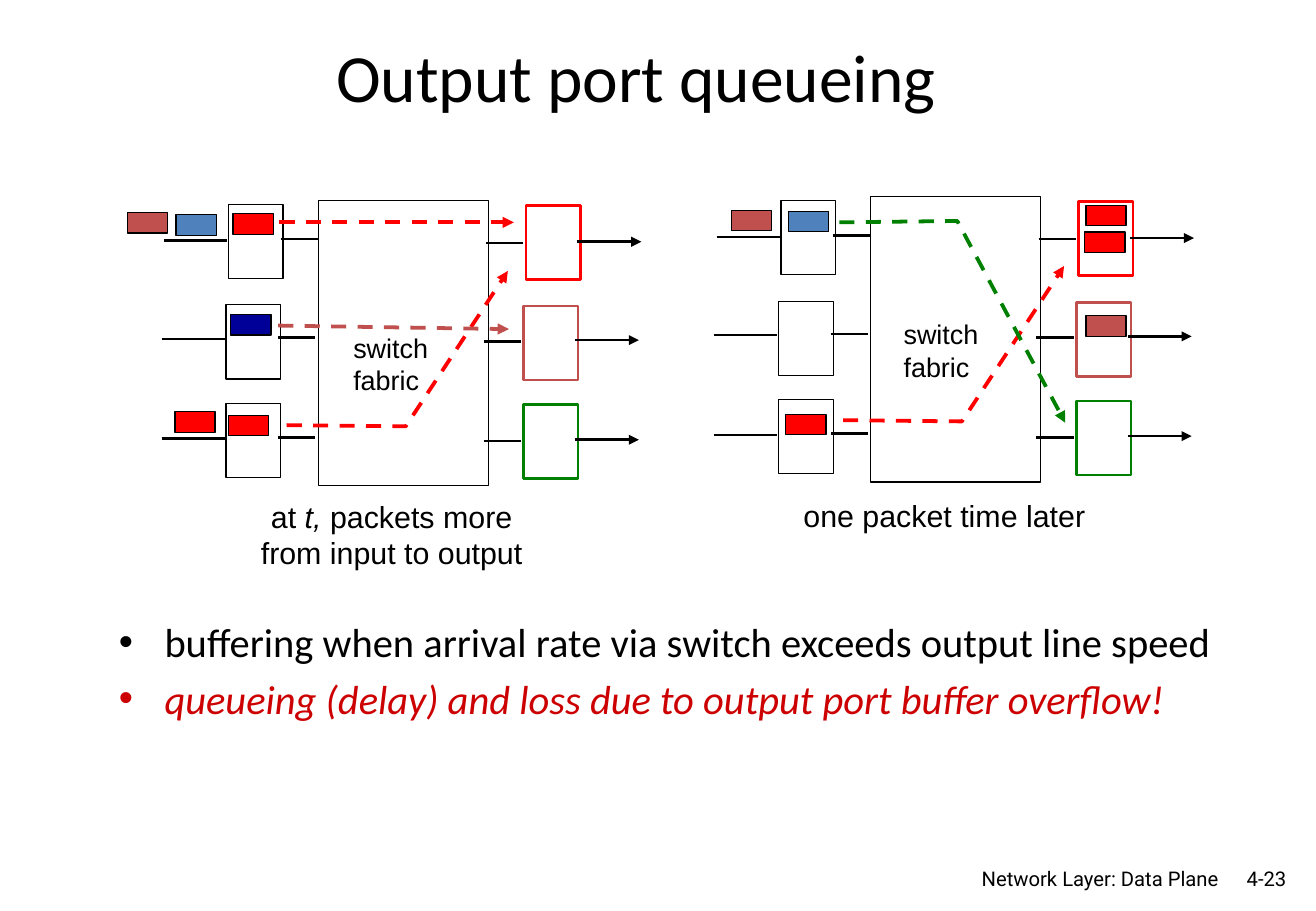
"""Build the slide on queueing at the output ports of a switch."""
from lxml.etree import SubElement
from pptx import Presentation
from pptx.dml.color import RGBColor
from pptx.enum.dml import MSO_LINE
from pptx.enum.shapes import MSO_CONNECTOR, MSO_SHAPE
from pptx.enum.text import MSO_ANCHOR, PP_ALIGN
from pptx.oxml.ns import qn
from pptx.util import Pt

BLACK = RGBColor(0x00, 0x00, 0x00)
WHITE = RGBColor(0xFF, 0xFF, 0xFF)
RED = RGBColor(0xFF, 0x00, 0x00)
RUST = RGBColor(0xC0, 0x50, 0x4D)
GREEN = RGBColor(0x00, 0x80, 0x00)
BLUE = RGBColor(0x4F, 0x81, 0xBD)
NAVY = RGBColor(0x00, 0x00, 0x99)
CRIMSON = RGBColor(0xCC, 0x00, 0x00)

LEFT, CENTER, RIGHT = PP_ALIGN.LEFT, PP_ALIGN.CENTER, PP_ALIGN.RIGHT
TOP, MIDDLE = MSO_ANCHOR.TOP, MSO_ANCHOR.MIDDLE

# fmt: off
SWITCHES = [(188.6, 118.8), (516.2, 116.6)]
FABRIC = (100.8, 169.2)
PORT = (32.4, 43.9)
PACKET = (23.8, 12.2)
ROWS = [(0, 0, 0, RED), (-1.4, 59.7, 58.3, RUST), (-1.4, 118.1, 117.4, GREEN)]
WIRES = [
    (99.4, 121.7, 25.2, False),
    (-22.3, -0.4, 23, False),
    (-91.4, -54, 23.8, False),
    (153.6, 191.5, 24.5, True),
]
PACKETS = [
    (138.2, 126.7, RED), (136.8, 186.5, NAVY), (135.4, 246.2, RED),
    (104.4, 127.4, BLUE), (103.7, 244.1, RED), (75.6, 126, RUST),
    (643.7, 121.7, RED), (643.7, 187.2, RUST), (643, 137.5, RED),
    (467.3, 125.3, BLUE), (465.8, 245.5, RED), (433.4, 124.6, RUST),
]
TRAILS = [
    (RED, [(165.6, 131.8), (304.6, 131.8)]),
    (RED, [(169.9, 252), (240.5, 252.7), (301, 160.6)]),
    (RED, [(499.7, 249.1), (570.2, 249.8), (630.7, 157.7)]),
    (GREEN, [(497.5, 131.8), (567.4, 131), (631.4, 250.6)]),
    (RUST, [(164.9, 193), (301.7, 195.1)]),
]
LABELS = [
    (["Output port queueing"], (45.4, 15.8, 663.1, 57.6), 40, "Calibri", CENTER, MIDDLE),
    (["at *t,* packets more", "from input to output"],
     (127.4, 291.6, 209.5, 50.4), 18, "Arial", CENTER, TOP),
    (["one packet time later"], (455, 290.9, 209.5, 28.8), 18, "Arial", CENTER, TOP),
    (["switch", "fabric"], (202.3, 193, 59, 46.1), 16, "Arial", LEFT, TOP),
    (["switch", "fabric"], (528.5, 185, 59, 46.1), 16, "Arial", LEFT, TOP),
    (["Network Layer: Data Plane"], (543.6, 509.8, 185.8, 18.7), 12, "Roboto", RIGHT, TOP),
    (["4-23"], (721.4, 509.8, 48.2, 21.6), 12, "Roboto", RIGHT, MIDDLE),
]
BULLETS = [
    "buffering when arrival rate via switch exceeds output line speed",
    "*queueing (delay) and loss due to output port buffer overflow!*",
]
# fmt: on
BODY = (63.4, 362.2, 663.1, 93.6)


def block(shapes, x, y, size, fill, edge=BLACK, weight=0.75):
    """Add a filled rectangle."""
    box = shapes.add_shape(MSO_SHAPE.RECTANGLE, Pt(x), Pt(y), *map(Pt, size))
    box.shadow.inherit = False
    box.fill.solid()
    box.fill.fore_color.rgb = fill
    box.line.color.rgb = edge
    box.line.width = Pt(weight)


def trace(shapes, points, color=BLACK, weight=1.5, dash=False, arrow=True):
    """Add a line through the points."""
    spots = [(Pt(x), Pt(y)) for x, y in points]
    if len(spots) == 2:
        path = shapes.add_connector(MSO_CONNECTOR.STRAIGHT, *spots[0], *spots[1])
        SubElement(path._element.spPr, qn("a:effectLst"))
    else:
        maker = shapes.build_freeform(*spots[0])
        maker.add_line_segments(spots[1:], close=False)
        path = maker.convert_to_shape()
        path.shadow.inherit = False
        path.fill.background()
    path.line.color.rgb = color
    path.line.width = Pt(weight)
    if dash:
        path.line.dash_style = MSO_LINE.DASH
    if arrow:
        SubElement(path.line._get_or_add_ln(), qn("a:tailEnd"), type="triangle")


def label(shapes, lines, area, size, font, align, anchor):
    """Add a text box; asterisks mark italic parts."""
    frame = shapes.add_textbox(*map(Pt, area)).text_frame
    frame.word_wrap = True
    frame.vertical_anchor = anchor
    for i, line in enumerate(lines):
        para = frame.paragraphs[0] if i == 0 else frame.add_paragraph()
        para.alignment = align
        for j, part in enumerate(line.split("*")):
            if part:
                run = para.add_run()
                run.text = part
                run.font.size = Pt(size)
                run.font.name = font
                run.font.italic = j % 2 == 1
                run.font.color.rgb = BLACK
    return frame


def switch(shapes, left, top):
    """Add a switch with its ports and wires."""
    block(shapes, left, top, FABRIC, WHITE)
    for dx, drop, fall, color in ROWS:
        x = left + dx
        block(shapes, x - 53.3, top + 2.2 + drop, PORT, WHITE)
        block(shapes, x + 123.1, top + 2.9 + drop, PORT, WHITE, color, 1.5)
        for start, end, y, arrow in WIRES:
            level = top + y + fall
            trace(shapes, [(x + start, level), (x + end, level)], arrow=arrow)


def bullets(shapes):
    """Add the bullet list, with the last point in crimson."""
    frame = label(shapes, BULLETS, BODY, 24, "Calibri", LEFT, TOP)
    frame.margin_right = 0
    for para in frame.paragraphs:
        props = para._p.get_or_add_pPr()
        props.set("marL", str(Pt(27)))
        props.set("indent", str(Pt(-27)))
        SubElement(props, qn("a:buFont"), typeface="Arial")
        SubElement(props, qn("a:buChar"), char="•")
    last = frame.paragraphs[-1]
    last.space_before = Pt(4.8)
    last.runs[0].font.color.rgb = CRIMSON


def main():
    """Draw the slide and save it."""
    deck = Presentation()
    deck.slide_width, deck.slide_height = Pt(780), Pt(540)
    shapes = deck.slides.add_slide(deck.slide_layouts[6]).shapes
    for spot in SWITCHES:
        switch(shapes, *spot)
    for x, y, color in PACKETS:
        block(shapes, x, y, PACKET, color)
    for color, points in TRAILS:
        trace(shapes, points, color, 2.25, dash=True)
    for item in LABELS:
        label(shapes, *item)
    bullets(shapes)
    deck.save("out.pptx")


if __name__ == "__main__":
    main()
